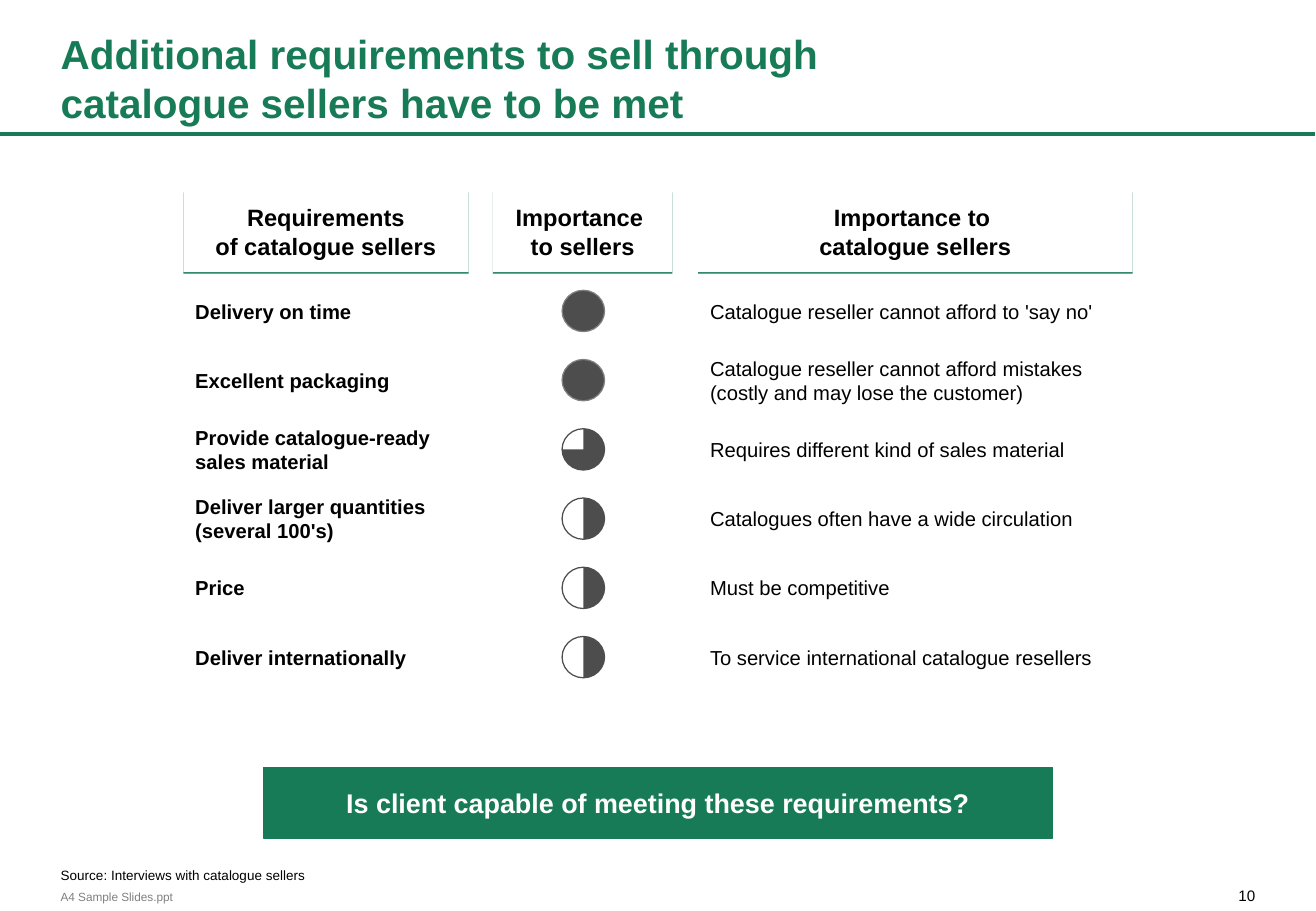
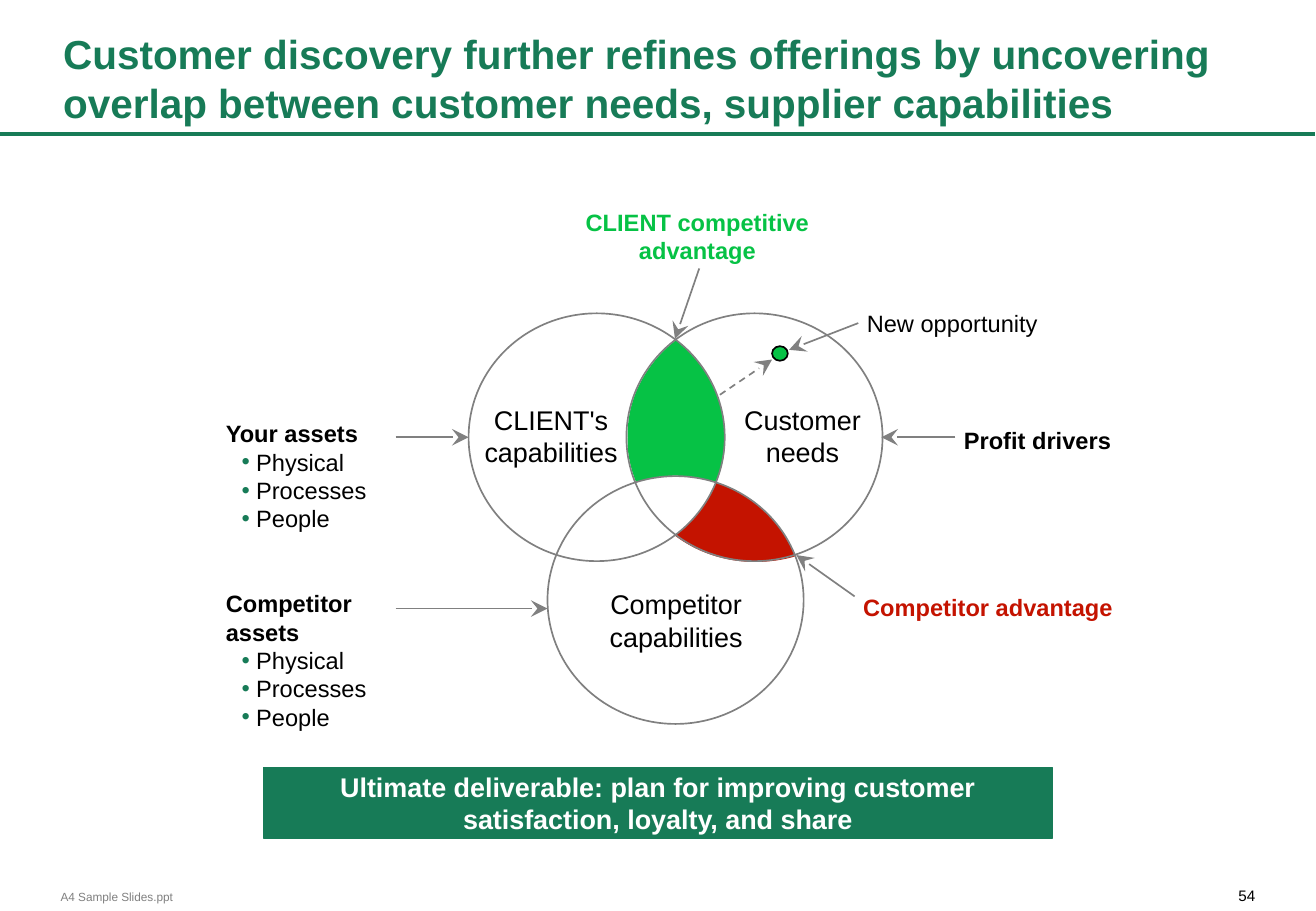
"""Build two consulting slides: catalogue seller requirements and a customer discovery diagram."""
import dataclasses

import lxml.etree
import pptx
import pptx.dml.color
import pptx.enum.dml
import pptx.enum.shapes
import pptx.enum.text
import pptx.oxml.ns
import pptx.util

PX = 9144
SHAPE = pptx.enum.shapes.MSO_SHAPE
STRAIGHT = pptx.enum.shapes.MSO_CONNECTOR.STRAIGHT
ALIGN = pptx.enum.text.PP_ALIGN
ANCHOR = pptx.enum.text.MSO_ANCHOR
qn = pptx.oxml.ns.qn


@dataclasses.dataclass(frozen=True)
class Theme:
    font: str = "Arial"
    brand: str = "177B57"
    ink: str = "000000"
    paper: str = "FFFFFF"
    grey: str = "808080"
    dark: str = "4D4D4D"
    advantage: str = "06C245"
    threat: str = "C41300"
    title: int = 24
    large: int = 16
    label: int = 14
    body: int = 12
    page: int = 9
    source: int = 8
    footer: int = 7


theme = Theme()


def write(shape, text, size, colour=theme.ink, bold=False, align=ALIGN.LEFT,
          anchor=ANCHOR.TOP, margins=(0, 0)):
    """Fill a shape with formatted text; margins are horizontal and vertical px."""
    frame = shape.text_frame
    frame.word_wrap = True
    frame.auto_size = pptx.enum.text.MSO_AUTO_SIZE.NONE
    frame.vertical_anchor = anchor
    frame.margin_left = frame.margin_right = margins[0] * PX
    frame.margin_top = frame.margin_bottom = margins[1] * PX
    frame.text = text
    for paragraph in frame.paragraphs:
        paragraph.alignment = align
        paragraph.space_before = pptx.util.Pt(0)
        for run in paragraph.runs:
            run.font.name = theme.font
            run.font.size = pptx.util.Pt(size)
            run.font.bold = bold
            run.font.color.rgb = pptx.dml.color.RGBColor.from_string(colour)


def paint(shape, fill=None, line=None, width=1):
    """Set fill and line, and return the shape's empty effect list."""
    if hasattr(shape, "fill"):
        if fill:
            shape.fill.solid()
            shape.fill.fore_color.rgb = pptx.dml.color.RGBColor.from_string(fill)
        else:
            shape.fill.background()
    if line:
        shape.line.color.rgb = pptx.dml.color.RGBColor.from_string(line)
        shape.line.width = pptx.util.Pt(width)
    else:
        shape.line.fill.background()
    return lxml.etree.SubElement(shape.element.spPr, qn("a:effectLst"))


presentation = pptx.Presentation()
presentation.slide_width = 1084 * PX
presentation.slide_height = 750 * PX

frames = [
    (5, "Additional requirements to sell through\vcatalogue sellers have to be met",
     (50, 18, 983, 91), "10", "Is client capable of meeting these requirements?"),
    (1, "Customer discovery further refines offerings by uncovering overlap between "
        "customer needs, supplier capabilities",
     (52, 18, 994, 91), "54",
     "Ultimate deliverable: plan for improving customer satisfaction, loyalty, and share"),
]
for layout, title, title_box, page, message in frames:
    slide = presentation.slides.add_slide(presentation.slide_layouts[layout])
    heading = slide.shapes.title
    heading.left, heading.top, heading.width, heading.height = [v * PX for v in title_box]
    write(heading, title, theme.title, theme.brand, True, anchor=ANCHOR.BOTTOM, margins=(0, 5))
    rule = slide.shapes.add_connector(STRAIGHT, 1083 * PX, 110 * PX, 0, 110 * PX)
    paint(rule, line=theme.brand, width=2.25)
    number = slide.shapes.add_textbox(1013 * PX, 730 * PX, 21 * PX, 15 * PX)
    write(number, page, theme.page, align=ALIGN.RIGHT)
    footer = slide.shapes.add_textbox(50 * PX, 732 * PX, 94 * PX, 12 * PX)
    write(footer, "A4 Sample Slides.ppt", theme.footer, theme.grey, anchor=ANCHOR.MIDDLE)
    banner = slide.shapes.add_shape(SHAPE.RECTANGLE, 217 * PX, 632 * PX, 650 * PX, 58 * PX)
    paint(banner, theme.brand, theme.brand, 0.75)
    write(banner, message, theme.large, theme.paper, True, ALIGN.CENTER, ANCHOR.MIDDLE, (10, 5))

requirements, discovery = presentation.slides

columns = [
    (151, 235, "Requirements\nof catalogue sellers"),
    (406, 148, "Importance \vto sellers"),
    (575, 358, "Importance to \ncatalogue sellers"),
]
for left, width, text in columns:
    header = requirements.shapes.add_shape(SHAPE.RECTANGLE, left * PX, 157 * PX, width * PX, 67 * PX)
    effects = paint(header, theme.paper)
    shadow = lxml.etree.SubElement(effects, qn("a:outerShdw"), blurRad="0", dist="12700",
                                   dir="5400000", algn="ctr", rotWithShape="0")
    lxml.etree.SubElement(shadow, qn("a:srgbClr"), val=theme.brand)
    write(header, text, theme.label, theme.ink, True, ALIGN.CENTER, ANCHOR.BOTTOM, (10, 10))

rows = [
    ("Delivery on time", 4, "Catalogue reseller cannot afford to 'say no'"),
    ("Excellent packaging", 4,
     "Catalogue reseller cannot afford mistakes (costly and may lose the customer)"),
    ("Provide catalogue-ready sales material", 3, "Requires different kind of sales material"),
    ("Deliver larger quantities (several 100's)", 2, "Catalogues often have a wide circulation"),
    ("Price", 2, "Must be competitive"),
    ("Deliver internationally", 2, "To service international catalogue resellers"),
]
for index, (requirement, quarters, reason) in enumerate(rows):
    top = 235 + 57 * index
    for (left, width, _), text, bold in ((columns[0], requirement, True), (columns[2], reason, False)):
        cell = requirements.shapes.add_textbox(left * PX, top * PX, width * PX, 42 * PX)
        write(cell, text, theme.body, bold=bold, anchor=ANCHOR.MIDDLE, margins=(10, 5))
    ball_box = [v * PX for v in (463, top + 4, 35, 34)]
    ball = requirements.shapes.add_shape(SHAPE.OVAL, *ball_box)
    if quarters == 4:
        paint(ball, theme.dark, theme.grey, 0.75)
    else:
        paint(ball, theme.paper, theme.dark, 0.75)
        pie = requirements.shapes.add_shape(SHAPE.PIE, *ball_box)
        pie.adjustments[0] = 270 * 0.6
        pie.adjustments[1] = (quarters - 1) * 90 * 0.6
        paint(pie, theme.dark)

source = requirements.shapes.add_textbox(50 * PX, 691 * PX, 984 * PX, 36 * PX)
write(source, "Source: Interviews with catalogue sellers", theme.source, anchor=ANCHOR.BOTTOM)
source.text_frame.paragraphs[0].line_spacing = 0.9

overlaps = [
    (theme.advantage, (517, 360), [
        (516, 308), (557, 280), (557, 280),
        (557, 280), (596, 305), (597, 361),
        (598, 379), (590, 397), (590, 397),
        (590, 397), (558, 385), (524, 397),
        (524, 397), (516, 379), (517, 360),
    ]),
    (theme.threat, (590, 397), [
        (642, 415), (655, 458), (655, 458),
        (655, 458), (603, 476), (556, 441),
        (579, 422), (586, 407), (590, 397),
    ]),
]
for colour, start, curve_points in overlaps:
    builder = discovery.shapes.build_freeform(*start, scale=PX)
    builder.add_line_segments(curve_points, close=True)
    overlap = builder.convert_to_shape()
    segments = list(overlap.element.spPr.iter(qn("a:lnTo")))
    for first in range(0, len(curve_points), 3):
        curve = lxml.etree.Element(qn("a:cubicBezTo"))
        segments[first].addprevious(curve)
        for segment in segments[first:first + 3]:
            curve.append(segment[0])
    for segment in segments:
        segment.getparent().remove(segment)
    paint(overlap, colour)

for left, top in ((386, 258), (516, 258), (451, 392)):
    ring = discovery.shapes.add_shape(SHAPE.OVAL, left * PX, top * PX, 211 * PX, 204 * PX)
    paint(ring, line=theme.grey)

assets = discovery.placeholders[1]
assets.left, assets.top, assets.width, assets.height = [v * PX for v in (186, 345, 157, 281)]
groups = ["Your assets", "Competitor assets"]
items = ["Physical", "Processes", "People"]
write(assets, "\n".join(line for group in groups for line in [group, *items]), theme.label)
for paragraph in assets.text_frame.paragraphs:
    properties = paragraph._p.get_or_add_pPr()
    if paragraph.text in groups:
        properties.set("marL", "0")
        properties.set("indent", "0")
        lxml.etree.SubElement(properties, qn("a:buNone"))
        paragraph.runs[0].font.bold = True
        if paragraph.text == groups[1]:
            paragraph.space_before = pptx.util.Pt(33.6)
    else:
        paragraph.level = 1
        properties.set("marL", str(25 * PX))
        properties.set("indent", str(-12 * PX))
        bullet_colour = lxml.etree.SubElement(properties, qn("a:buClr"))
        lxml.etree.SubElement(bullet_colour, qn("a:srgbClr"), val=theme.brand)
        lxml.etree.SubElement(properties, qn("a:buFont"), typeface=theme.font)
        lxml.etree.SubElement(properties, qn("a:buChar"), char="•")

labels = [
    ("CLIENT competitive advantage", (465, 171, 219, 47), theme.label, theme.advantage, True, ALIGN.CENTER),
    ("New opportunity", (714, 254, 170, 23), theme.label, theme.ink, False, ALIGN.LEFT),
    ("Profit drivers", (794, 351, 126, 23), theme.label, theme.ink, True, ALIGN.LEFT),
    ("Competitor advantage", (711, 488, 208, 23), theme.label, theme.threat, True, ALIGN.LEFT),
    ("CLIENT's capabilities", (386, 332, 136, 53), theme.large, theme.ink, False, ALIGN.CENTER),
    ("Customer needs", (600, 332, 122, 53), theme.large, theme.ink, False, ALIGN.CENTER),
    ("Competitor\ncapabilities", (459, 484, 196, 53), theme.large, theme.ink, False, ALIGN.CENTER),
]
for text, box, size, colour, bold, align in labels:
    label = discovery.shapes.add_textbox(*[v * PX for v in box])
    write(label, text, size, colour, bold, align)

opportunity = discovery.shapes.add_shape(SHAPE.OVAL, 636 * PX, 285 * PX, 13 * PX, 12 * PX)
paint(opportunity, theme.advantage, theme.ink)

arrows = [
    (326, 360, 386, 360, False),
    (326, 501, 451, 501, False),
    (787, 360, 726, 360, False),
    (576, 221, 556, 279, False),
    (704, 491, 656, 457, False),
    (707, 266, 650, 288, False),
    (593, 325, 636, 296, True),
]
for *ends, dashed in arrows:
    arrow = discovery.shapes.add_connector(STRAIGHT, *[v * PX for v in ends])
    paint(arrow, line=theme.grey)
    if dashed:
        arrow.line.dash_style = pptx.enum.dml.MSO_LINE.DASH
    lxml.etree.SubElement(arrow.element.spPr.find(qn("a:ln")), qn("a:tailEnd"),
                          type="stealth", w="lg", len="lg")

presentation.save("out.pptx")
